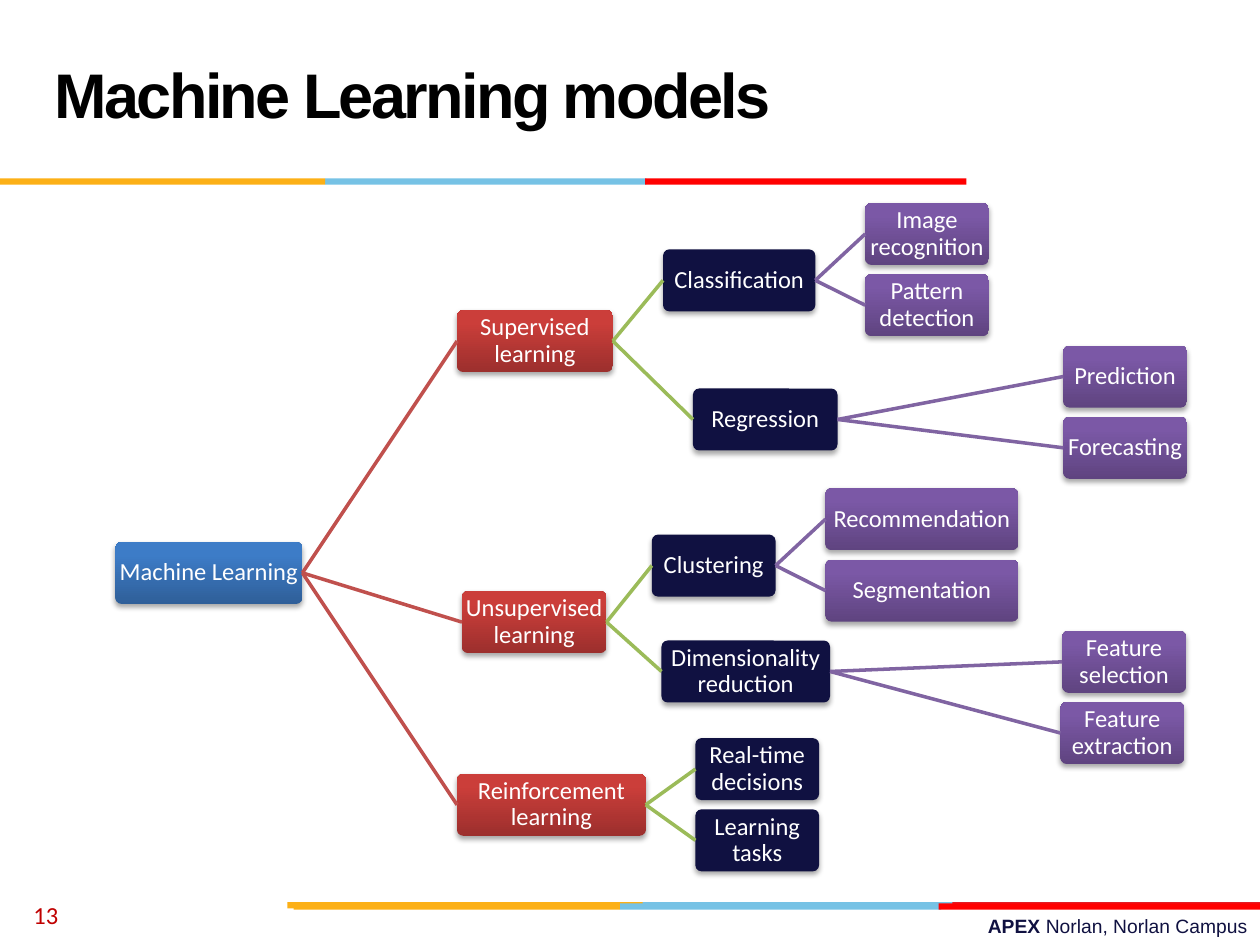
from lxml.etree import SubElement
from pptx import Presentation
from pptx.dml.color import RGBColor
from pptx.enum.shapes import MSO_CONNECTOR as Link, MSO_SHAPE as Form
from pptx.enum.text import MSO_ANCHOR as Anchor, PP_ALIGN as Align
from pptx.oxml.ns import qn
from pptx.util import Pt

BLACK = RGBColor(0x00, 0x00, 0x00)
WHITE = RGBColor(0xFF, 0xFF, 0xFF)
NAVY = RGBColor(0x10, 0x11, 0x41)
CRIMSON = RGBColor(0xC0, 0x00, 0x00)
GOLD = RGBColor(0xFC, 0xB0, 0x17)
SKY = RGBColor(0x76, 0xC2, 0xE5)
RED = RGBColor(0xFF, 0x00, 0x00)
BRICK = RGBColor(0xE3, 0x1C, 0x24)

# Node colours by level: bottom and top of the gradient
FILLS = [
    (RGBColor(0x2F, 0x5F, 0x99), RGBColor(0x3D, 0x7C, 0xC7)),
    (RGBColor(0x9C, 0x2F, 0x2D), RGBColor(0xCB, 0x3E, 0x3A)),
    (NAVY, NAVY),
    (RGBColor(0x5F, 0x44, 0x80), RGBColor(0x7B, 0x58, 0xA6)),
]
# Link colours by the level of the child
LINKS = [None, RGBColor(0xC0, 0x50, 0x4D), RGBColor(0x9B, 0xBB, 0x59),
         RGBColor(0x80, 0x64, 0xA2)]

TITLE = "Machine Learning models"
NUMBER = "13"
FOOTER = [("APEX ", True), ("Norlan, Norlan Campus", False)]

# Tree: text, left, top, width, children
NODE_H = 35.4
SMALL = 70.7
TREE = ("Machine Learning", 66, 309.7, 106.8, [
    ("Supervised learning", 261.2, 177.2, 89, [
        ("Classification", 378.9, 142.5, 87, [
            ("Image recognition", 494.4, 116, SMALL, []),
            ("Pattern detection", 494.4, 156.7, SMALL, [])]),
        ("Regression", 396, 222, 82.6, [
            ("Prediction", 607.6, 197.5, SMALL, []),
            ("Forecasting", 607.6, 238.2, SMALL, [])])]),
    ("Unsupervised learning", 264, 337.8, 82.6, [
        ("Clustering", 372.5, 305.5, SMALL, [
            ("Recommendation", 471.7, 279, 110.2, []),
            ("Segmentation", 471.7, 319.8, 110.2, [])]),
        ("Dimensionality reduction", 378, 366, 96.3, [
            ("Feature selection", 607, 360.5, SMALL, []),
            ("Feature extraction", 606, 401.2, SMALL, [])])]),
    ("Reinforcement learning", 261.2, 442.2, 107.8, [
        ("Real-time decisions", 397.4, 421.8, SMALL, []),
        ("Learning tasks", 397.4, 462.5, SMALL, [])]),
])

# Stripes: top, then (left, width, colour) for each bar
BAR_H = 3.6
BARS = [
    (515.5, [(364.3, 183.6, SKY), (544.3, 175.7, BRICK), (164.2, 203, GOLD)]),
    (516.2, [(354.2, 183.6, SKY), (167.8, 186.4, GOLD), (536.4, 183.6, RED)]),
    (102, [(185.8, 183.6, SKY), (0, 185.8, GOLD), (368.6, 183.6, RED)]),
]


def write(frame, runs, size, color, font="Calibri", bold=False,
          align=Align.LEFT, anchor=Anchor.MIDDLE, line=None, track=None,
          inset=None):
    """Fill a text frame; runs is a string or a list of (text, bold)."""
    frame.word_wrap = True
    frame.vertical_anchor = anchor
    if inset is not None:
        frame.margin_left = frame.margin_right = Pt(inset)
        frame.margin_top = frame.margin_bottom = Pt(inset)
    para = frame.paragraphs[0]
    para.alignment = align
    if line:
        para.line_spacing = line
    for text, heavy in [(runs, bold)] if isinstance(runs, str) else runs:
        run = para.add_run()
        run.text = text
        run.font.name = font
        run.font.size = Pt(size)
        run.font.bold = heavy
        run.font.color.rgb = color
        if track:
            run.font._element.set("spc", str(int(track * 100)))


def cast(shape):
    """Add a soft shadow straight below the shape."""
    effects = SubElement(shape._element.spPr, qn("a:effectLst"))
    outer = SubElement(effects, qn("a:outerShdw"), blurRad=str(Pt(3.1)),
                       dist=str(Pt(1.8)), dir="5400000", rotWithShape="0")
    tone = SubElement(outer, qn("a:srgbClr"), val="000000")
    SubElement(tone, qn("a:alpha"), val="35000")


def grow(shapes, node, level=0):
    """Draw a node with all its children, and return its box."""
    text, left, top, width, kids = node
    box = shapes.add_shape(Form.ROUNDED_RECTANGLE, Pt(left), Pt(top),
                           Pt(width), Pt(NODE_H))
    box.adjustments[0] = 0.1
    low, high = FILLS[level]
    if low == high:
        box.fill.solid()
        box.fill.fore_color.rgb = low
    else:
        box.fill.gradient()
        box.fill.gradient_angle = 90
        for stop, color, place in zip(box.fill.gradient_stops,
                                      (low, high), (0, 0.8)):
            stop.color.rgb = color
            stop.position = place
    box.line.fill.background()
    cast(box)
    write(box.text_frame, text, 14, WHITE, align=Align.CENTER, line=0.9,
          inset=0.7)
    for kid in kids:
        child = grow(shapes, kid, level + 1)
        link = shapes.add_connector(Link.STRAIGHT, 0, 0, 0, 0)
        link.begin_connect(box, 3)
        link.end_connect(child, 1)
        link.line.color.rgb = LINKS[level + 1]
        link.line.width = Pt(2)
        SubElement(link._element.spPr, qn("a:effectLst"))
    return box


def main():
    deck = Presentation()
    deck.slide_width, deck.slide_height = Pt(720), Pt(540)
    slide = deck.slides.add_slide(deck.slide_layouts[5])
    shapes = slide.shapes

    # Footer and stripes
    note = shapes.add_textbox(Pt(258), Pt(519), Pt(462), Pt(21))
    write(note.text_frame, FOOTER, 11, NAVY, font="Arial",
          align=Align.RIGHT, anchor=Anchor.TOP)
    for top, row in BARS:
        for left, width, color in row:
            bar = shapes.add_shape(Form.RECTANGLE, Pt(left), Pt(top),
                                   Pt(width), Pt(BAR_H))
            bar.shadow.inherit = False
            bar.fill.solid()
            bar.fill.fore_color.rgb = color
            bar.line.fill.background()

    # Title and slide number
    title = shapes.title
    title.left, title.top = Pt(24), Pt(12)
    title.width, title.height = Pt(672), Pt(90)
    write(title.text_frame, TITLE, 36, BLACK, font="Arial", bold=True,
          line=Pt(36), track=-1.5)
    page = shapes.add_textbox(Pt(12), Pt(508.5), Pt(168), Pt(28.8))
    write(page.text_frame, NUMBER, 14, CRIMSON)

    # Tree of models
    grow(shapes, TREE)
    deck.save("out.pptx")


if __name__ == "__main__":
    main()
